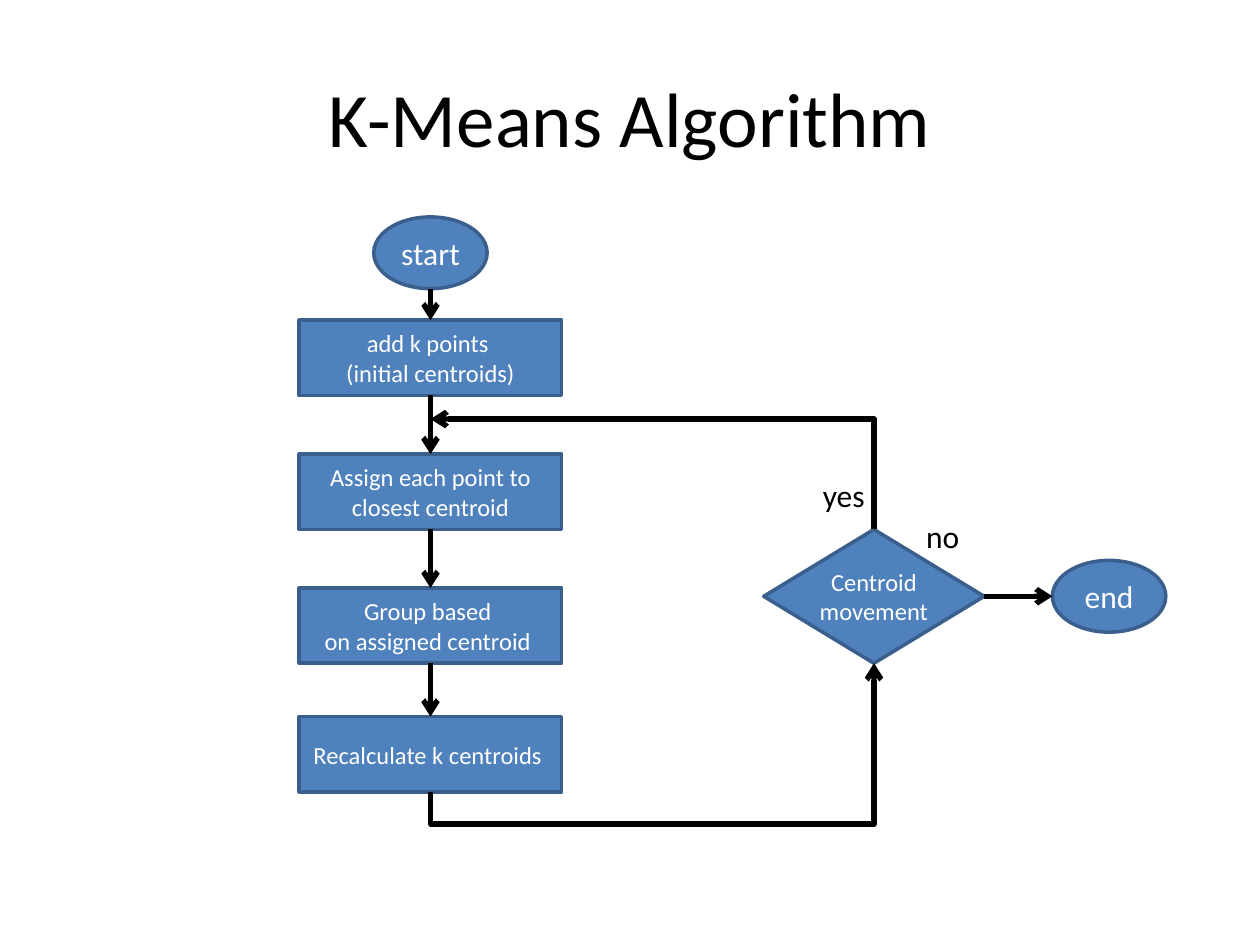
"""Build a flowchart slide of the K-Means algorithm."""
import pptx
import pptx.util
import pptx.dml.color
import pptx.enum.shapes
import pptx.enum.text
import pptx.oxml
import pptx.oxml.ns
from dataclasses import dataclass

Pt = pptx.util.Pt
Kind = pptx.enum.shapes.MSO_SHAPE
Link = pptx.enum.shapes.MSO_CONNECTOR
Align = pptx.enum.text.PP_ALIGN
Anchor = pptx.enum.text.MSO_ANCHOR


@dataclass(frozen=True)
class Theme:
    """Colours, type sizes and line widths of the slide."""
    font: str = "Calibri"
    fill: str = "4F81BD"
    edge: str = "3A5F8C"
    ink: str = "000000"
    pale: str = "FFFFFF"
    head: float = 44
    body: float = 18
    small: float = 14
    rim: float = 2
    wire: float = 3


THEME = Theme()


def tint(code):
    """Turn a hex code into a colour."""
    return pptx.dml.color.RGBColor.from_string(code)


def apply(item, form):
    """Set each format value on an item."""
    for name, value in form.items():
        setattr(item, name, value)


def write(shape, text, size, ink, align=Align.CENTER, **form):
    """Write the lines of text into a shape."""
    frame = shape.text_frame
    apply(frame, {"word_wrap": True, "vertical_anchor": Anchor.MIDDLE, **form})
    frame.text = text
    for para in frame.paragraphs:
        para.alignment = align
        apply(para.font, {"name": THEME.font, "size": Pt(size)})
        para.font.color.rgb = tint(ink)


def node(slide, kind, box, text, size):
    """Draw one filled node with centred text."""
    shape = slide.shapes.add_shape(kind, *map(Pt, box))
    shape.shadow.inherit = False
    shape.fill.solid()
    shape.fill.fore_color.rgb = tint(THEME.fill)
    shape.line.color.rgb = tint(THEME.edge)
    shape.line.width = Pt(THEME.rim)
    sides = ("left", "top", "right", "bottom")
    write(shape, text, size, THEME.pale, **{"margin_" + s: 0 for s in sides})


def label(slide, box, text):
    """Place a short branch label."""
    shape = slide.shapes.add_textbox(*map(Pt, box))
    write(shape, text, THEME.body, THEME.ink, Align.LEFT,
          word_wrap=False, vertical_anchor=Anchor.TOP)


def arrow(slide, start, end, kind=Link.STRAIGHT):
    """Draw an arrow from start to end."""
    wire = slide.shapes.add_connector(kind, *map(Pt, start + end))
    wire.line.color.rgb = tint(THEME.ink)
    wire.line.width = Pt(THEME.wire)
    line = wire.line._get_or_add_ln()
    space = pptx.oxml.ns.nsdecls("a")
    line.append(pptx.oxml.parse_xml(f'<a:tailEnd {space} type="arrow"/>'))
    prop = wire._element.spPr
    prop.append(pptx.oxml.parse_xml(f"<a:effectLst {space}/>"))
    return wire


def elbow(slide, start, end, preset, turn, flips, bend=None):
    """Draw a bent arrow that leaves its start vertically."""
    wire = arrow(slide, start, end, Link.ELBOW)
    wide, high = abs(end[1] - start[1]), abs(end[0] - start[0])
    left = (start[0] + end[0] - wide) / 2
    top = (start[1] + end[1] - high) / 2
    apply(wire, {"left": Pt(left), "top": Pt(top),
                 "width": Pt(wide), "height": Pt(high)})
    prop = wire._element.spPr
    frame = prop.find(pptx.oxml.ns.qn("a:xfrm"))
    frame.set("rot", str(turn * 60000))
    for side in "HV":
        frame.set("flip" + side, str(int(side in flips)))
    shape = prop.find(pptx.oxml.ns.qn("a:prstGeom"))
    shape.set("prst", preset)
    if bend is not None:
        space = pptx.oxml.ns.nsdecls("a")
        guide = pptx.oxml.parse_xml(
            f'<a:gd {space} name="adj1" fmla="val {round(bend * 100000)}"/>')
        shape.find(pptx.oxml.ns.qn("a:avLst")).append(guide)


def title(slide, box, text):
    """Place the slide title."""
    shape = slide.shapes.add_textbox(*map(Pt, box))
    write(shape, text, THEME.head, THEME.ink)


def steps(slide, box, items):
    """Draw the start oval and the chain of steps below it."""
    left, top, wide, _ = box
    mid = left + wide / 2
    oval, tall = (64.8, 41), 43
    node(slide, Kind.OVAL, (mid - oval[0] / 2, top) + oval, "start", THEME.body)
    base = top + oval[1]
    for drop, text in items:
        node(slide, Kind.RECTANGLE, (left, top + drop, wide, tall),
             text, THEME.small)
        arrow(slide, (mid, base), (mid, top + drop))
        base = top + drop + tall


def choice(slide, box):
    """Draw the decision, its labels and the end oval."""
    left, top, wide, high = box
    rhomb, oval = 126, (64.8, 41)
    mid = top + high / 2
    node(slide, Kind.FLOWCHART_DECISION, (left, top, rhomb, high),
         "Centroid movement", THEME.small)
    edge = left + wide - oval[0]
    node(slide, Kind.OVAL, (edge, mid - oval[1] / 2) + oval, "end", THEME.body)
    arrow(slide, (left + rhomb, mid), (edge, mid))
    label(slide, (left + 85.7, top - 10.8, 33.8, 28.8), "no")
    label(slide, (left + 26.7, top - 34, 38.9, 28.8), "yes")


def loop(slide, box, high, low):
    """Join the last step to the decision and the decision to the chain."""
    left, top, wide, tall = box
    right, base = left + wide, top + tall
    elbow(slide, (left, base), (right, low), "bentConnector3", 90, "HV", -0.25)
    elbow(slide, (right, high), (left, top), "bentConnector2", 270, "V")


def main():
    """Build and save the slide."""
    deck = pptx.Presentation()
    apply(deck, {"slide_width": Pt(720), "slide_height": Pt(540)})
    slide = deck.slides.add_slide(deck.slide_layouts[6])
    title(slide, (36, 21.6, 648, 90), "K-Means Algorithm")
    steps(slide, (171, 124, 150, 328.5), [
        (59, "add k points \n(initial centroids)"),
        (135.5, "Assign each point to closest centroid"),
        (212, "Group based \non assigned centroid "),
        (285.5, "Recalculate k centroids ")])
    choice(slide, (436.4, 302.5, 229.8, 76.5))
    loop(slide, (246, 239.5, 253.4, 213), 302.5, 379)
    deck.save("out.pptx")


main()
